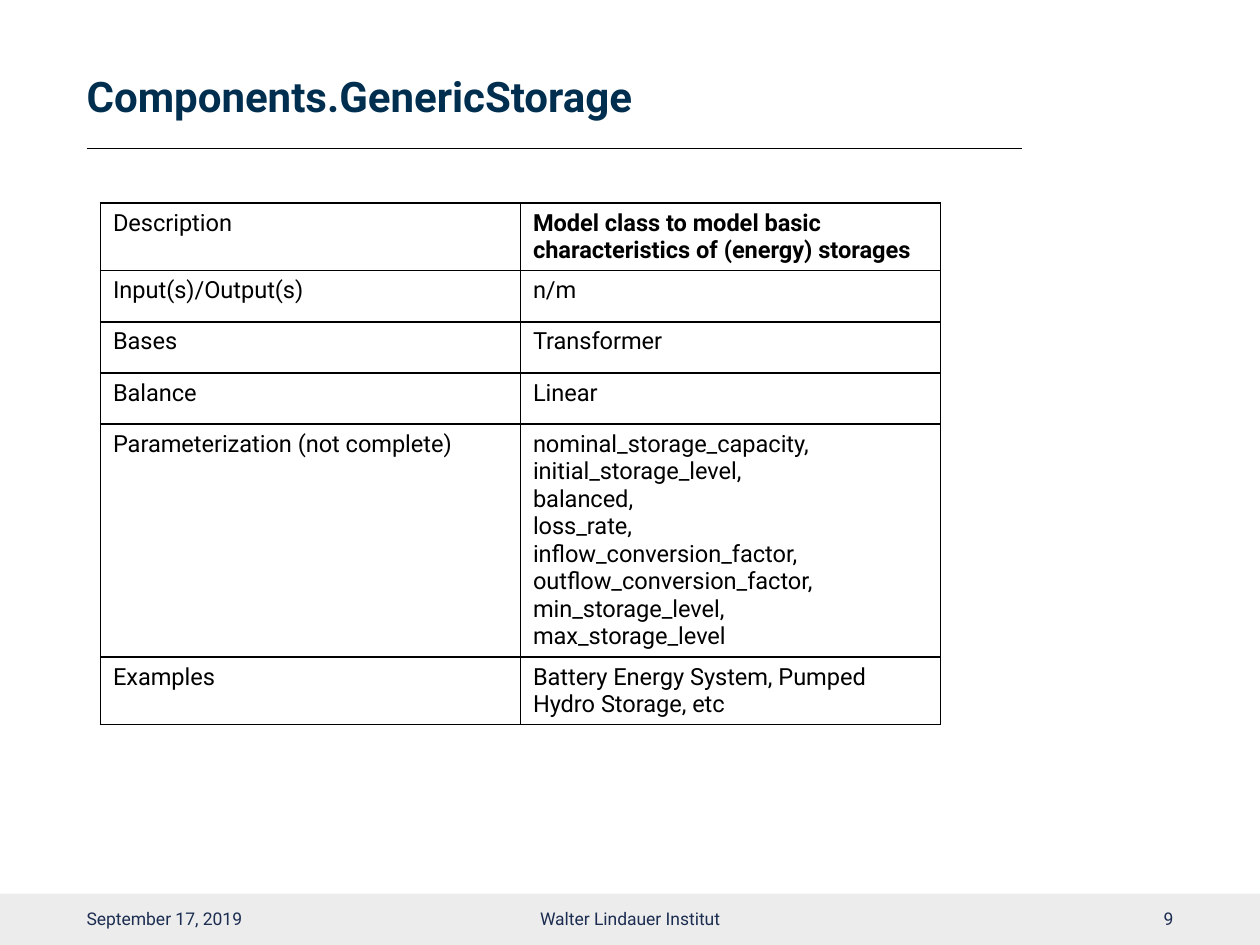
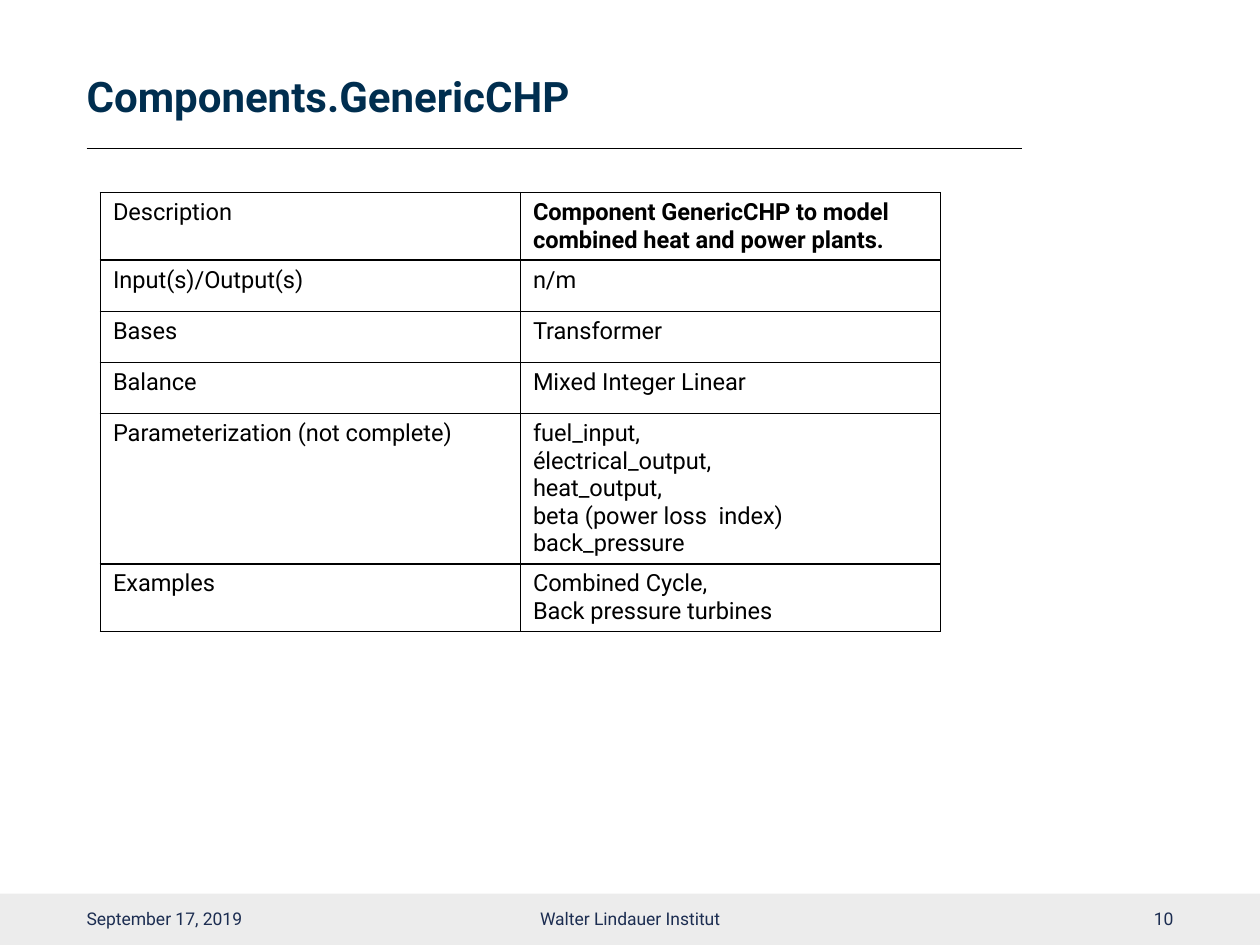
from dataclasses import dataclass

from lxml import etree
from pptx import Presentation
from pptx import util as u
from pptx.dml.color import RGBColor
from pptx.enum import shapes, text
from pptx.oxml import ns

Pt = u.Pt


@dataclass(frozen=True)
class Theme:
    """Colours, font and type sizes of the deck."""
    font: str = "Roboto"
    title: str = "002E4F"
    footer: str = "1C2D51"
    ink: str = "000000"
    band: str = "ECECEC"
    title_size: float = 24
    table_size: float = 13.5
    footer_size: float = 10


THEME = Theme()
WIDTH, HEIGHT = 720, 540
MARGIN = 49.5
BAND_TOP = 510.6
RULE_TOP, RULE_WIDTH = 85, 534.5
TABLE_LEFT, COLUMN_WIDTH, ROW_HEIGHT = 57.4, 240, 29.2
DATE = "September 17, 2019"
INSTITUTE = "Walter Lindauer Institut"
LABELS = ["Description", "Input(s)/Output(s)", "Bases", "Balance",
          "Parameterization (not complete)", "Examples"]
STORAGE = [
    "Model class to model basic characteristics of (energy) storages",
    "n/m",
    "Transformer",
    "Linear",
    "nominal_storage_capacity,\ninitial_storage_level,\nbalanced,\nloss_rate,\n"
    "inflow_conversion_factor,\noutflow_conversion_factor,\n"
    "min_storage_level,\nmax_storage_level",
    "Battery Energy System, Pumped Hydro Storage, etc",
]
CHP = [
    "Component GenericCHP to model combined heat and power plants.",
    "n/m",
    "Transformer",
    "Mixed Integer Linear",
    "fuel_input,\nélectrical_output,\nheat_output,\n"
    "beta (power loss  index)\nback_pressure",
    "Combined Cycle,\nBack pressure turbines",
]


def write(tf, content, size, color, bold=False, align=text.PP_ALIGN.LEFT):
    """Fill a text frame with evenly formatted paragraphs."""
    tf.text = content
    for p in tf.paragraphs:
        p.alignment = align
        p.font.name = THEME.font
        p.font.size = Pt(size)
        p.font.bold = bold
        p.font.color.rgb = RGBColor.from_string(color)


def place(sp, left, top, width, height):
    """Set the position and size of a shape."""
    sp.left, sp.top = Pt(left), Pt(top)
    sp.width, sp.height = Pt(width), Pt(height)


def set_frame(tf, left=0, right=0):
    """Centre a wrapping text frame vertically and set its side insets."""
    tf.auto_size = text.MSO_AUTO_SIZE.NONE
    tf.word_wrap = True
    tf.vertical_anchor = text.MSO_ANCHOR.MIDDLE
    tf.margin_left, tf.margin_right = Pt(left), Pt(right)
    tf.margin_top = tf.margin_bottom = Pt(3.6)


def add_band(slide):
    """Draw the footer band across the slide."""
    sp = slide.shapes.add_shape(shapes.MSO_SHAPE.RECTANGLE, 0, Pt(BAND_TOP),
                                Pt(WIDTH), Pt(HEIGHT - BAND_TOP))
    sp.shadow.inherit = False
    sp.fill.solid()
    sp.fill.fore_color.rgb = RGBColor.from_string(THEME.band)
    sp.line.fill.background()


def add_rule(slide):
    """Draw the thin line under the title."""
    line = slide.shapes.add_connector(
        shapes.MSO_CONNECTOR.STRAIGHT, Pt(MARGIN), Pt(RULE_TOP),
        Pt(MARGIN + RULE_WIDTH), Pt(RULE_TOP))
    line.line.width = Pt(0.5)
    line.line.color.rgb = RGBColor.from_string(THEME.ink)
    etree.SubElement(line._element.spPr, ns.qn("a:effectLst"))


def add_title(slide, title):
    """Place and write the slide title."""
    sp = slide.shapes.title
    place(sp, MARGIN, 27.4, RULE_WIDTH, 57.6)
    set_frame(sp.text_frame, right=7.2)
    write(sp.text_frame, title, THEME.title_size, THEME.title, bold=True)
    sp.text_frame.paragraphs[0].line_spacing = 0.9


def add_footer(slide, number):
    """Write the date, institute and slide number on the band."""
    side, middle = 162, 243
    items = [
        (DATE, MARGIN, side, text.PP_ALIGN.LEFT),
        (INSTITUTE, (WIDTH - middle) / 2, middle, text.PP_ALIGN.CENTER),
        (str(number), WIDTH - MARGIN - side, side, text.PP_ALIGN.RIGHT),
    ]
    for content, left, width, align in items:
        sp = slide.shapes.add_textbox(Pt(left), Pt(BAND_TOP), Pt(width), Pt(28.8))
        set_frame(sp.text_frame)
        write(sp.text_frame, content, THEME.footer_size, THEME.footer, align=align)


def set_borders(cell):
    """Give a cell a one-point line on all four sides."""
    tc_pr = cell._tc.get_or_add_tcPr()
    for i, side in enumerate(("lnL", "lnR", "lnT", "lnB")):
        ln = etree.Element(ns.qn(f"a:{side}"), w=str(Pt(1)))
        fill = etree.SubElement(ln, ns.qn("a:solidFill"))
        etree.SubElement(fill, ns.qn("a:srgbClr"), val=THEME.ink)
        tc_pr.insert(i, ln)


def add_properties_table(slide, top, values):
    """Add the table that pairs each label with its value."""
    rows = list(zip(LABELS, values))
    table = slide.shapes.add_table(
        len(rows), 2, Pt(TABLE_LEFT), Pt(top), Pt(2 * COLUMN_WIDTH),
        Pt(ROW_HEIGHT * len(rows))).table
    table.first_row = table.horz_banding = False
    for i, row in enumerate(rows):
        for j, content in enumerate(row):
            cell = table.cell(i, j)
            cell.fill.background()
            set_borders(cell)
            write(cell.text_frame, content, THEME.table_size, THEME.ink,
                  bold=(i, j) == (0, 1))


def add_component_slide(prs, number, title, table_top, values):
    """Add one slide that describes a component."""
    slide = prs.slides.add_slide(prs.slide_layouts[5])
    add_band(slide)
    add_rule(slide)
    add_title(slide, title)
    add_footer(slide, number)
    add_properties_table(slide, table_top, values)


def main():
    """Build and save the deck."""
    prs = Presentation()
    prs.slide_width, prs.slide_height = Pt(WIDTH), Pt(HEIGHT)
    add_component_slide(prs, 9, "Components.GenericStorage", 116, STORAGE)
    add_component_slide(prs, 10, "Components.GenericCHP", 110, CHP)
    prs.save("out.pptx")


if __name__ == "__main__":
    main()
